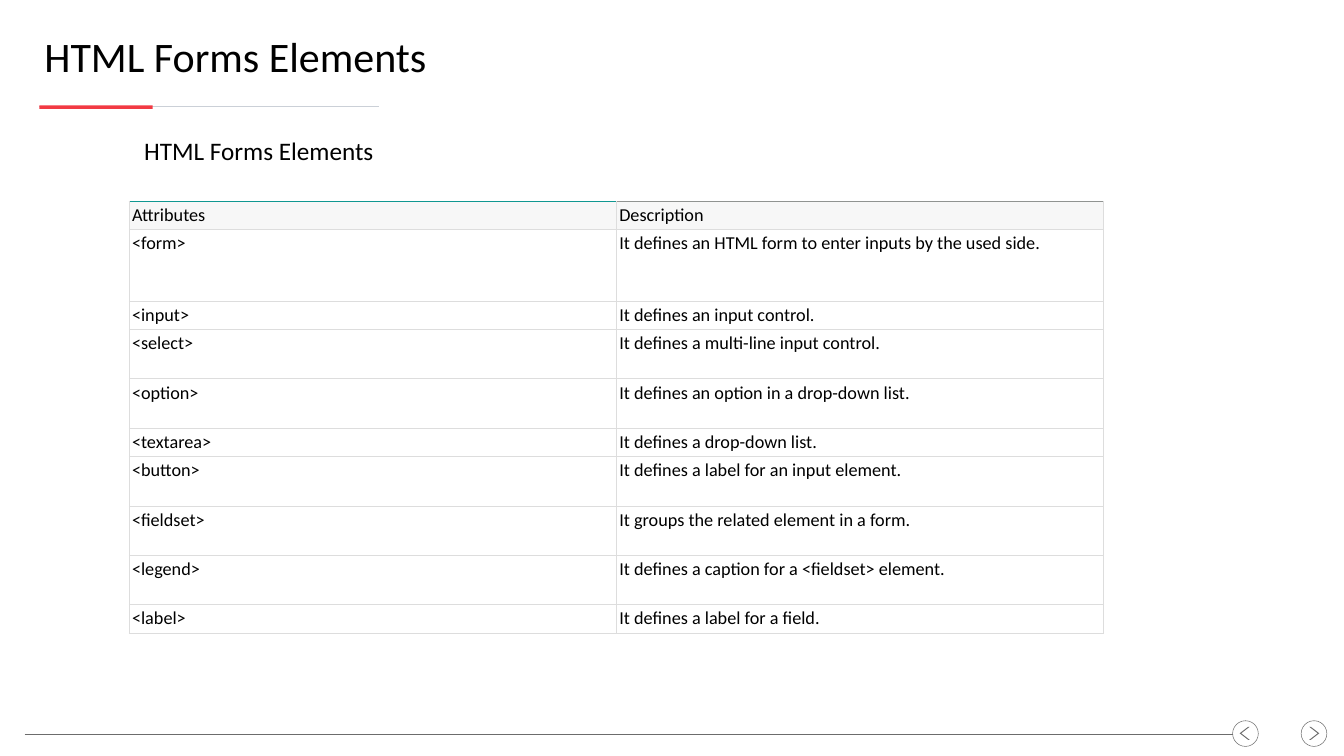
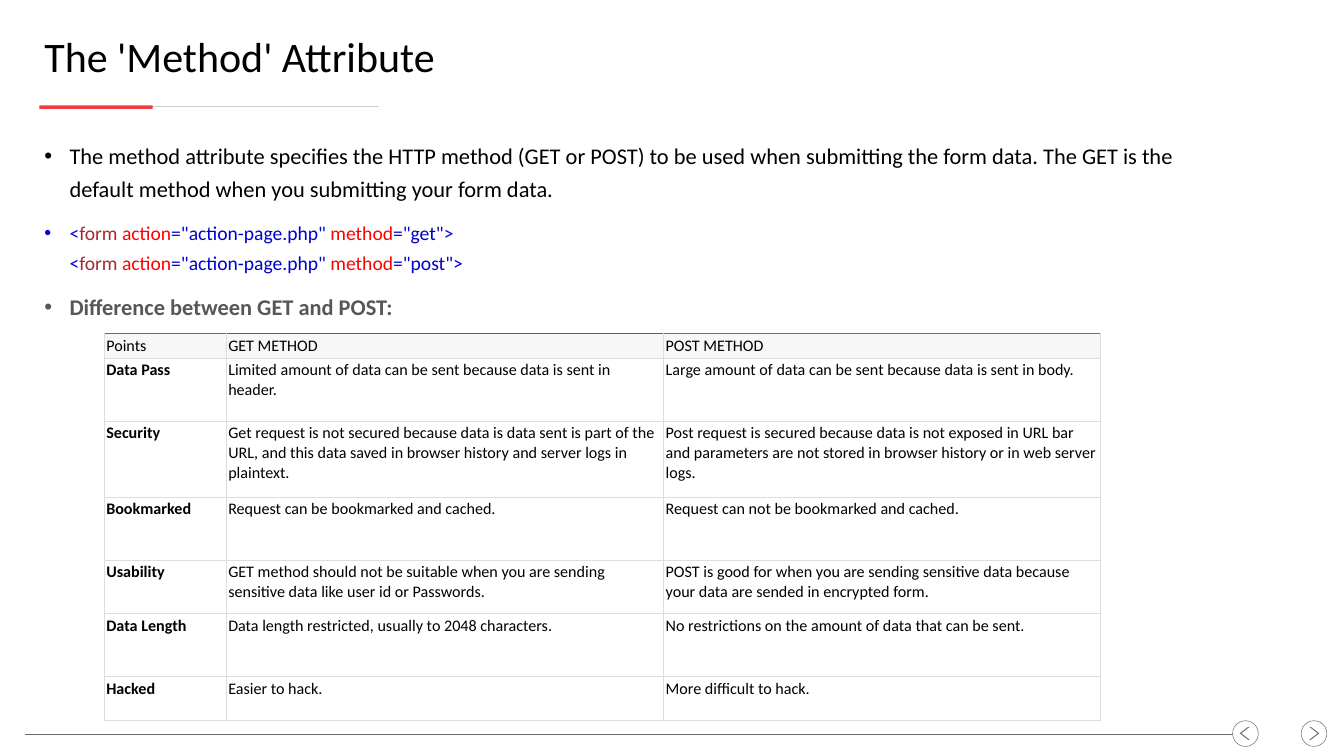
import lxml.etree
import pptx
import pptx.dml.color
import pptx.enum.shapes
import pptx.enum.text
import pptx.oxml.ns
import pptx.util
from pptx.util import Inches

RGB = pptx.dml.color.RGBColor
SHAPE = pptx.enum.shapes.MSO_SHAPE
ANCHOR = pptx.enum.text.MSO_ANCHOR
qn = pptx.oxml.ns.qn

FONT = "Calibri"
BLACK = RGB(0x00, 0x00, 0x00)
WHITE = RGB(0xFF, 0xFF, 0xFF)
RED = RGB(0xF2, 0x3A, 0x43)
RULE_GREY = RGB(0xCB, 0xD0, 0xD7)
NAV_GREY = RGB(0x6C, 0x6C, 0x6C)
HEADING_GREY = RGB(0x57, 0x57, 0x57)
HEADER_FILL = RGB(0xF7, 0xF7, 0xF7)
BORDER = RGB(0xDD, 0xDD, 0xDD)
CODE_BLUE = RGB(0x00, 0x00, 0xCD)
CODE_BROWN = RGB(0xA5, 0x2A, 0x2A)
CODE_RED = RGB(0xFF, 0x00, 0x00)

TITLE_BOX = (0.78, 0.59, 25.05, 1.04)
BODY_BOX = (0.78, 2.63, 23.33, 10.88)

FORM_TABLE = [
    ("Attributes", "Description"),
    ("<form>", "It defines an HTML form to enter inputs by the used side."),
    ("<input>", "It defines an input control."),
    ("<select>", "It defines a multi-line input control."),
    ("<option>", "It defines an option in a drop-down list."),
    ("<textarea>", "It defines a drop-down list."),
    ("<button>", "It defines a label for an input element."),
    ("<fieldset>", "It groups the related element in a form."),
    ("<legend>", "It defines a caption for a\u00a0<fieldset>\u00a0element."),
    ("<label>", "It defines a label for a field."),
]

METHOD_TABLE = [
    ("Points", "GET METHOD", "POST METHOD"),
    ("Data Pass",
     "Limited amount of data can be sent because data is sent in header.",
     "Large amount of data can be sent because data is sent in body."),
    ("Security",
     "Get request is not secured because data is data sent is part of the URL, "
     "and this data saved in browser history and server logs in plaintext.",
     "Post request is secured because data is not exposed in URL bar and "
     "parameters are not stored in browser history or in web server logs."),
    ("Bookmarked",
     "Request can be bookmarked and cached.",
     "Request can not be bookmarked and cached."),
    ("Usability",
     "GET method should not be suitable when you are sending sensitive data "
     "like user id or Passwords.",
     "POST is good for when you are sending sensitive data because your data "
     "are sended in encrypted form."),
    ("Data Length",
     "Data length restricted, usually to 2048 characters.",
     "No restrictions on the amount of data that can be sent."),
    ("Hacked", "Easier to hack.", "More difficult to hack."),
]


def place(sp, box):
    """Move a shape to a box of left, top, width, height in inches."""
    sp.left, sp.top, sp.width, sp.height = map(Inches, box)


def format_run(r, size, color=BLACK, bold=False):
    """Set the font of a run."""
    r.font.name = FONT
    r.font.size = pptx.util.Pt(size)
    r.font.color.rgb = color
    r.font.bold = bold


def add_line(slide, x1, x2, y, color, width):
    """Draw a horizontal line."""
    line = slide.shapes.add_connector(
        pptx.enum.shapes.MSO_CONNECTOR.STRAIGHT,
        Inches(x1), Inches(y), Inches(x2), Inches(y))
    line.line.color.rgb = color
    line.line.width = pptx.util.Pt(width)
    lxml.etree.SubElement(line._element.spPr, qn("a:effectLst"))


def add_preset(shapes, kind, box, fill=None, line=None):
    """Draw a preset shape with a plain fill or a thin outline."""
    s = shapes.add_shape(kind, *map(Inches, box))
    s.shadow.inherit = False
    if fill is None:
        s.fill.background()
    else:
        s.fill.solid()
        s.fill.fore_color.rgb = fill
    if line is None:
        s.line.fill.background()
    else:
        s.line.color.rgb = line
        s.line.width = pptx.util.Pt(0.75)
    return s


def add_nav_button(slide, x, y, back=False):
    """Draw a ring with a chevron that points back or forward."""
    group = slide.shapes.add_group_shape()
    add_preset(group.shapes, SHAPE.OVAL, (x, y, 0.51, 0.51), line=NAV_GREY)
    dx = 0.14 if back else 0.16
    arrow = add_preset(group.shapes, SHAPE.CHEVRON,
                       (x + dx, y + 0.12, 0.2, 0.26), fill=NAV_GREY)
    arrow.adjustments[0] = 0.844
    if back:
        arrow._element.spPr.find(qn("a:xfrm")).set("flipH", "1")


def add_title(slide, text):
    """Fill the title placeholder and draw the rule under it."""
    sp = slide.shapes.title
    place(sp, TITLE_BOX)
    tf = sp.text_frame
    tf.text = text
    tf.auto_size = pptx.enum.text.MSO_AUTO_SIZE.NONE
    tf.vertical_anchor = ANCHOR.MIDDLE
    p = tf.paragraphs[0]
    p.alignment = pptx.enum.text.PP_ALIGN.LEFT
    p.space_before = p.space_after = pptx.util.Pt(12)
    format_run(p.runs[0], 60)
    left = TITLE_BOX[0]
    add_line(slide, left, 7.52, 2.12, RULE_GREY, 1.5)
    add_preset(slide.shapes, SHAPE.RECTANGLE, (left, 2.09, 2.25, 0.07), fill=RED)


def add_footer(slide):
    """Draw the bottom line and the two navigation buttons."""
    add_nav_button(slide, 25.82, 14.3)
    add_nav_button(slide, 24.46, 14.3, back=True)
    add_line(slide, 0.49, 24.46, 14.56, NAV_GREY, 0.75)


def add_base_slide(prs, title):
    """Add a slide with the shared title and footer; return it and its body."""
    slide = prs.slides.add_slide(prs.slide_layouts[1])
    add_title(slide, title)
    add_footer(slide)
    body = slide.placeholders[1]
    place(body, BODY_BOX)
    body.text_frame.auto_size = pptx.enum.text.MSO_AUTO_SIZE.NONE
    return slide, body.text_frame


def set_indent(p, left, first):
    """Set the left margin and first-line indent of a paragraph."""
    pPr = p._p.get_or_add_pPr()
    pPr.set("marL", str(Inches(left)))
    pPr.set("indent", str(Inches(first)))
    return pPr


def format_bullet(p):
    """Give a paragraph the round bullet, indent and spacing of the lists."""
    pPr = set_indent(p, 0.5, -0.5)
    lxml.etree.SubElement(pPr, qn("a:buChar"), char="\u2022")
    p.line_spacing = 1.25
    p.space_after = pptx.util.Pt(12)


def add_form_code(p, method):
    """Write one coloured form tag into a paragraph."""
    parts = [("<", CODE_BLUE), ("form", CODE_BROWN),
             ("\u00a0action", CODE_RED), ('="action-page.php"', CODE_BLUE),
             ("\u00a0method", CODE_RED), (f'="{method}">', CODE_BLUE)]
    for text, color in parts:
        r = p.add_run()
        r.text = text
        format_run(r, 28, color)


def set_borders(cell, top):
    """Draw the four thin borders of a cell."""
    tcPr = cell._tc.get_or_add_tcPr()
    for side, color in zip("LRTB", (BORDER, BORDER, top, BORDER)):
        ln = lxml.etree.SubElement(tcPr, qn("a:ln" + side),
                                   w=str(pptx.util.Pt(0.75)))
        fill = lxml.etree.SubElement(ln, qn("a:solidFill"))
        lxml.etree.SubElement(fill, qn("a:srgbClr"), val=str(color))


def add_grid(slide, left, top, rows, widths, heights, size, inset,
             header_tops, bold_first=False):
    """Add a bordered table with a light header row."""
    frame = slide.shapes.add_table(
        len(rows), len(widths), Inches(left), Inches(top),
        Inches(sum(widths)), Inches(sum(heights)))
    table = frame.table
    table.first_row = table.horz_banding = False
    for col, width in zip(table.columns, widths):
        col.width = Inches(width)
    for i, (row, height) in enumerate(zip(rows, heights)):
        table.rows[i].height = Inches(height)
        header = i == 0
        for j, text in enumerate(row):
            cell = table.cell(i, j)
            cell.text = text
            cell.margin_left = cell.margin_right = Inches(inset)
            cell.margin_top = cell.margin_bottom = Inches(inset)
            cell.vertical_anchor = ANCHOR.BOTTOM if header else ANCHOR.TOP
            set_borders(cell, header_tops[j] if header else BORDER)
            cell.fill.solid()
            cell.fill.fore_color.rgb = HEADER_FILL if header else WHITE
            format_run(cell.text_frame.paragraphs[0].runs[0], size,
                       bold=bold_first and j == 0 and not header)


def build_elements_slide(prs):
    """Build the slide that lists the form elements."""
    slide, tf = add_base_slide(prs, "HTML Forms Elements")
    tf.text = "HTML Forms Elements"
    p = tf.paragraphs[0]
    p.level = 2
    lxml.etree.SubElement(set_indent(p, 1.98, 0), qn("a:buNone"))
    format_run(p.runs[0], 36)
    one, two, three = 0.55, 0.98, 1.42
    add_grid(slide, 2.56, 3.99, FORM_TABLE, [9.67] * 2,
             [one, three, one, two, two, one, two, two, two, one], 26, 0.06,
             [RGB(0x10, 0x97, 0x91), RGB(0x90, 0x93, 0x91)])


def build_method_slide(prs):
    """Build the slide that compares GET and POST."""
    slide, tf = add_base_slide(prs, "The 'Method' Attribute")
    tf.text = ("The method attribute specifies the HTTP method (GET or POST) to "
               "be used when submitting the form data. The GET is the default "
               "method when you submitting your form data.")
    intro = tf.paragraphs[0]
    format_run(intro.runs[0], 32)
    code = tf.add_paragraph()
    add_form_code(code, "get")
    code.add_line_break()
    add_form_code(code, "post")
    heading = tf.add_paragraph()
    heading.text = "Difference between GET and POST:"
    format_run(heading.runs[0], 32, HEADING_GREY, bold=True)
    for p in (intro, code, heading):
        format_bullet(p)
    add_grid(slide, 2.06, 6.61, METHOD_TABLE, [2.42, 8.68, 8.68],
             [0.49, 1.25, 1.51, 1.25, 1.06, 1.25, 0.87], 23, 0.05,
             [RGB(0x90, 0x58, 0x55), RGB(0x70, 0x59, 0x55),
              RGB(0xB0, 0x52, 0x55)], bold_first=True)


prs = pptx.Presentation()
prs.slide_width = Inches(26.67)
prs.slide_height = Inches(15)
build_elements_slide(prs)
build_method_slide(prs)
prs.save("out.pptx")
